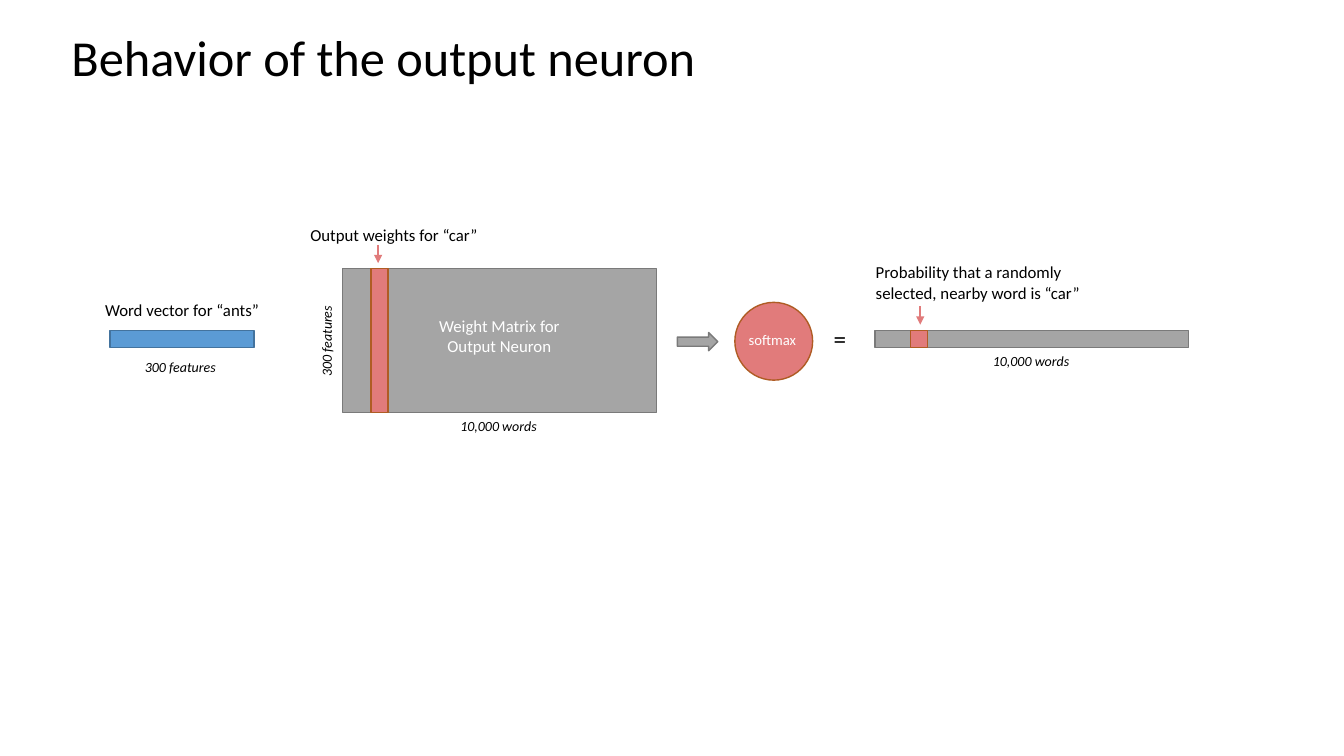
"""Draw the slide on how an output neuron turns a word vector into a probability."""
import dataclasses
import typing

import lxml.etree
import pptx
import pptx.dml.color
import pptx.enum.dml
import pptx.enum.shapes
import pptx.enum.text
import pptx.oxml.ns
import pptx.util

Cm = pptx.util.Cm
Kind = pptx.enum.shapes.MSO_SHAPE
Align = pptx.enum.text.PP_ALIGN

BLACK, WHITE = "000000", "FFFFFF"
BLUE = ("5B9BD5", "43739E")
GRAY = ("A5A5A5", "7A7A7A")
RED = ("E17B7B", "AF5C24")

NOTE = {"size": pptx.util.Pt(10), "italic": True}
LABEL = {"size": pptx.util.Pt(12)}
SMALL = {"size": pptx.util.Pt(10.5)}
SIGN = {"size": pptx.util.Pt(18)}
TITLE = {"size": pptx.util.Pt(36)}


@dataclasses.dataclass(frozen=True)
class Block:
    """A filled shape, with lengths in centimetres."""
    left: float
    top: float
    width: float
    height: float
    paint: tuple[str, str]
    kind: Kind = Kind.RECTANGLE


@dataclasses.dataclass(frozen=True)
class Label:
    """A piece of text, with lengths in centimetres."""
    text: str
    left: float
    top: float
    width: float
    height: float
    style: dict[str, typing.Any]
    color: str = BLACK
    align: Align = Align.LEFT
    wrap: bool = True
    turn: int = 0
    inset: bool = True


@dataclasses.dataclass(frozen=True)
class Arrow:
    """A short arrow that points down, with lengths in centimetres."""
    left: float
    top: float
    length: float = 0.46


SIDE, LONG, THIN = 3.63, 7.9, 0.43
ROW, HEAD = 8.33, 6.76

BLOCKS = [
    Block(2.77, ROW, SIDE, THIN, BLUE),
    Block(8.64, HEAD, LONG, SIDE, GRAY),
    Block(9.35, HEAD, THIN, SIDE, RED),
    Block(22.05, ROW, LONG, THIN, GRAY),
    Block(22.94, ROW, THIN, THIN, RED),
    Block(18.52, 7.62, 1.96, 1.96, RED, Kind.OVAL),
    Block(17.07, 8.38, 1.02, 0.46, GRAY, Kind.RIGHT_ARROW),
]

LABELS = [
    Label("Behavior of the output neuron", 1.55, 0.53, 17.48, 1.8, TITLE),
    Label("Word vector for “ants”", 2.34, 7.44, 4.5, 0.76, LABEL, align=Align.CENTER),
    Label("300 features", 3.4, 8.92, 2.34, 0.69, NOTE, wrap=False),
    Label("Output weights for “car”", 7.57, 5.54, 6.88, 0.76, LABEL),
    Label("300 features", 7.06, 8.23, 2.34, 0.69, NOTE, wrap=False, turn=270),
    Label("Weight Matrix for Output Neuron", 10.26, 7.82, 4.65, 1.27, LABEL,
          WHITE, Align.CENTER),
    Label("10,000 words", 11.35, 10.39, 2.46, 0.69, NOTE, wrap=False),
    Label("softmax", 18.62, 8.2, 1.83, 0.74, SMALL, WHITE),
    Label("=", 21.01, 8.15, 0.33, 0.76, SIGN, wrap=False, inset=False),
    Label("Probability that a randomly selected, nearby word is “car”",
          21.82, 6.48, 6.32, 1.27, LABEL),
    Label("10,000 words", 24.77, 8.76, 2.46, 0.69, NOTE, wrap=False),
]

ARROWS = [Arrow(9.53, 6.17), Arrow(23.19, 7.72)]


def tint(code: str) -> pptx.dml.color.RGBColor:
    """Turn a hex string into a colour."""
    return pptx.dml.color.RGBColor.from_string(code)


def draw_block(slide: typing.Any, block: Block) -> None:
    """Add one filled shape."""
    shape = slide.shapes.add_shape(
        block.kind, Cm(block.left), Cm(block.top), Cm(block.width), Cm(block.height))
    fill, edge = block.paint
    shape.shadow.inherit = False
    shape.fill.solid()
    shape.fill.fore_color.rgb = tint(fill)
    shape.line.color.rgb = tint(edge)
    shape.line.width = pptx.util.Pt(1)


def draw_label(slide: typing.Any, label: Label) -> None:
    """Add one text box."""
    box = slide.shapes.add_textbox(
        Cm(label.left), Cm(label.top), Cm(label.width), Cm(label.height))
    box.rotation = label.turn
    frame = box.text_frame
    frame.word_wrap = label.wrap
    frame.auto_size = pptx.enum.text.MSO_AUTO_SIZE.SHAPE_TO_FIT_TEXT
    if not label.inset:
        for side in ("left", "top", "right", "bottom"):
            setattr(frame, f"margin_{side}", 0)
    para = frame.paragraphs[0]
    para.alignment = label.align
    run = para.add_run()
    run.text = label.text
    for name, value in {"name": "Calibri", **label.style}.items():
        setattr(run.font, name, value)
    run.font.color.rgb = tint(label.color)


def draw_arrow(slide: typing.Any, arrow: Arrow) -> None:
    """Add one arrow that points down."""
    line = slide.shapes.add_connector(
        pptx.enum.shapes.MSO_CONNECTOR.STRAIGHT, Cm(arrow.left), Cm(arrow.top),
        Cm(arrow.left), Cm(arrow.top + arrow.length))
    line.line.color.rgb = tint(RED[0])
    line.line.width = pptx.util.Pt(1.5)
    props = line._element.spPr
    name = pptx.oxml.ns.qn
    lxml.etree.SubElement(props.find(name("a:ln")), name("a:tailEnd"), type="triangle")
    lxml.etree.SubElement(props, name("a:effectLst"))


def main() -> None:
    """Build and save the slide."""
    deck = pptx.Presentation()
    deck.slide_width, deck.slide_height = Cm(33.87), Cm(19.05)
    slide = deck.slides.add_slide(deck.slide_layouts[6])
    for block in BLOCKS:
        draw_block(slide, block)
    for arrow in ARROWS:
        draw_arrow(slide, arrow)
    for label in LABELS:
        draw_label(slide, label)
    deck.save("out.pptx")


if __name__ == "__main__":
    main()
